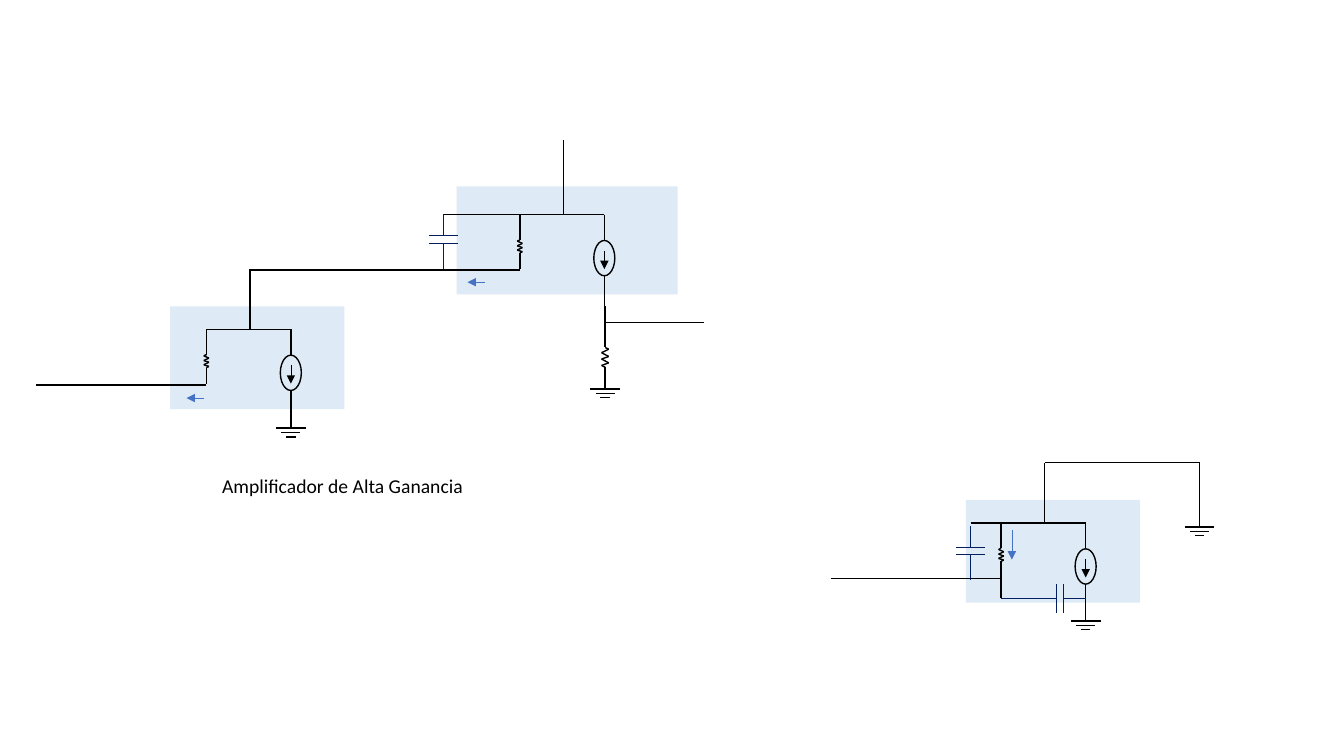
from itertools import pairwise

from pptx import Presentation
from pptx import util as u
from pptx.dml.color import RGBColor
from pptx.enum import shapes, text
from pptx.oxml import parse_xml
from pptx.oxml.ns import nsdecls

BLACK = RGBColor(0x00, 0x00, 0x00)
NAVY = RGBColor(0x00, 0x20, 0x60)
BLUE = RGBColor(0x44, 0x72, 0xC4)
PALE = RGBColor(0xDE, 0xEB, 0xF7)

# Zigzag of a resistor: side and share of the height
ZIG = [(0, 0), (0, .16), (-1, .22), (1, .34), (-1, .47), (1, .56),
       (-1, .69), (1, .78), (0, .84), (0, 1)]


# All lengths below are in centimetres
def wire(area, *points, color=BLACK, width=1, arrow=False):
    for (x1, y1), (x2, y2) in pairwise(points):
        line = area.shapes.add_connector(
            shapes.MSO_CONNECTOR.STRAIGHT,
            u.Cm(x1), u.Cm(y1), u.Cm(x2), u.Cm(y2))
        line.line.color.rgb = color
        line.line.width = u.Pt(width)
        if arrow:
            line.get_or_add_ln().append(
                parse_xml(f'<a:tailEnd {nsdecls("a")} type="triangle"/>'))
        line._element.spPr.append(
            parse_xml(f'<a:effectLst {nsdecls("a")}/>'))


def arrow(area, start, end, color=BLUE):
    wire(area, start, end, color=color, width=.5, arrow=True)


def shape(area, kind, x, y, w, h):
    item = area.shapes.add_shape(kind, u.Cm(x), u.Cm(y), u.Cm(w), u.Cm(h))
    item.shadow.inherit = False
    return item


def zigzag(area, x, y, half, high):
    wire(area, *((x + side * half, y + part * high) for side, part in ZIG))


def ground(area, x, y, stem=.42):
    for row, half in enumerate((.375, .24, .12)):
        level = y + row * .11
        wire(area, (x - half, level), (x + half, level))
    wire(area, (x, y - stem), (x, y))


def plates(area, x, y, before, after, flat=True):
    """Capacitor whose first plate is centred on x, y."""
    gap, half = .19, .36

    def spot(along, across):
        return (x + across, y + along) if flat else (x + along, y + across)

    for along in (0, gap):
        wire(area, spot(along, half), spot(along, -half), color=NAVY, width=.75)
    for start, end in ((0, -before), (gap, gap + after)):
        wire(area, spot(start, 0), spot(end, 0), color=NAVY, width=.75)


def stage(area, x, y, w, h, gate, bus, reach=0, rise=1.52, drop=1.37):
    """Transistor model: resistor and current source on a common bus."""
    box = shape(area, shapes.MSO_SHAPE.RECTANGLE, x, y, w, h)
    box.fill.solid()
    box.fill.fore_color.rgb = PALE
    box.line.fill.background()
    left, top = x + gate, y + bus
    right, mid = left + 2.13, left + 1.1

    # Input resistor
    wire(area, (left, top), (left, top + .56))
    zigzag(area, left, top + .56, .065, .48)
    wire(area, (left, top + 1.02), (left, top + drop))

    # Bus and current source
    wire(area, (left - reach, top), (right, top), (right, top + .65))
    ring = shape(area, shapes.MSO_SHAPE.OVAL, right - .265, top + .65, .53, .89)
    ring.fill.background()
    ring.line.color.rgb = BLACK
    ring.line.width = u.Pt(1)
    arrow(area, (right, top + .91), (right, top + 1.37), BLACK)
    wire(area, (right, top + 1.54), (right, top + 2.34))
    wire(area, (mid, top - rise), (mid, top))


def load(area, x, y):
    wire(area, (x, y), (x, y + .94))
    zigzag(area, x, y + .94, -.09, .73)
    ground(area, x, y + 2.1)


def caption(area, x, y, w, h):
    box = area.shapes.add_textbox(u.Cm(x), u.Cm(y), u.Cm(w), u.Cm(h))
    frame = box.text_frame
    frame.text = "Amplificador de Alta Ganancia"
    frame.word_wrap = False
    frame.auto_size = text.MSO_AUTO_SIZE.SHAPE_TO_FIT_TEXT
    line = frame.paragraphs[0]
    line.alignment = text.PP_ALIGN.CENTER
    font = line.runs[0].font
    font.name, font.size = "Calibri", u.Pt(14)
    font.color.rgb = BLACK


def first(slide, x, y):
    area = slide.shapes.add_group_shape()
    stage(area, x, y, 4.39, 2.59, gate=.91, bus=.58)
    arrow(area, (x + .86, y + 2.31), (x + .41, y + 2.31))
    ground(area, x + 3.04, y + 3.07)
    wire(slide, (x - 3.38, y + 1.98), (x + .89, y + 1.98))


def second(slide, x, y):
    area = slide.shapes.add_group_shape()
    stage(area, x, y, 5.57, 2.72, gate=1.59, bus=.71, reach=1.93, rise=1.88)
    arrow(area, (x + .71, y + 2.41), (x + .27, y + 2.41))
    wire(slide, (x - 5.2, y + 2.1), (x + 1.59, y + 2.1))
    load(slide.shapes.add_group_shape(), x + 3.74, y + 3)
    wire(slide, (x + 3.72, y + 3.43), (x + 6.22, y + 3.43))
    plates(slide.shapes.add_group_shape(), x - .33, y + 1.24, .54, .64)


def third(slide, x, y):
    area = slide.shapes.add_group_shape()
    ground(area, x + 5.89, y + .68, stem=1.62)
    wire(area, (x + 1.99, y - .94), (x + 5.89, y - .94))
    stage(area, x, y, 4.39, 2.59, gate=.89, bus=.58, reach=.76, drop=1.88)
    arrow(area, (x + 1.16, y + .76), (x + 1.16, y + 1.5))
    ground(area, x + 3.02, y + 3.05)
    wire(area, (x - 3.41, y + 1.98), (x + .89, y + 1.98))
    plates(area, x + .12, y + 1.19, .54, .64)
    plates(area, x + 2.28, y + 2.48, 1.4, .56, flat=False)


def main():
    deck = Presentation()
    deck.slide_width, deck.slide_height = u.Cm(33.87), u.Cm(19.05)
    slide = deck.slides.add_slide(deck.slide_layouts[6])
    caption(slide, 5.31, 11.81, 6.65, .86)
    first(slide, 4.29, 7.72)
    second(slide, 11.51, 4.7)
    third(slide, 24.34, 12.6)
    deck.save("out.pptx")


if __name__ == "__main__":
    main()
